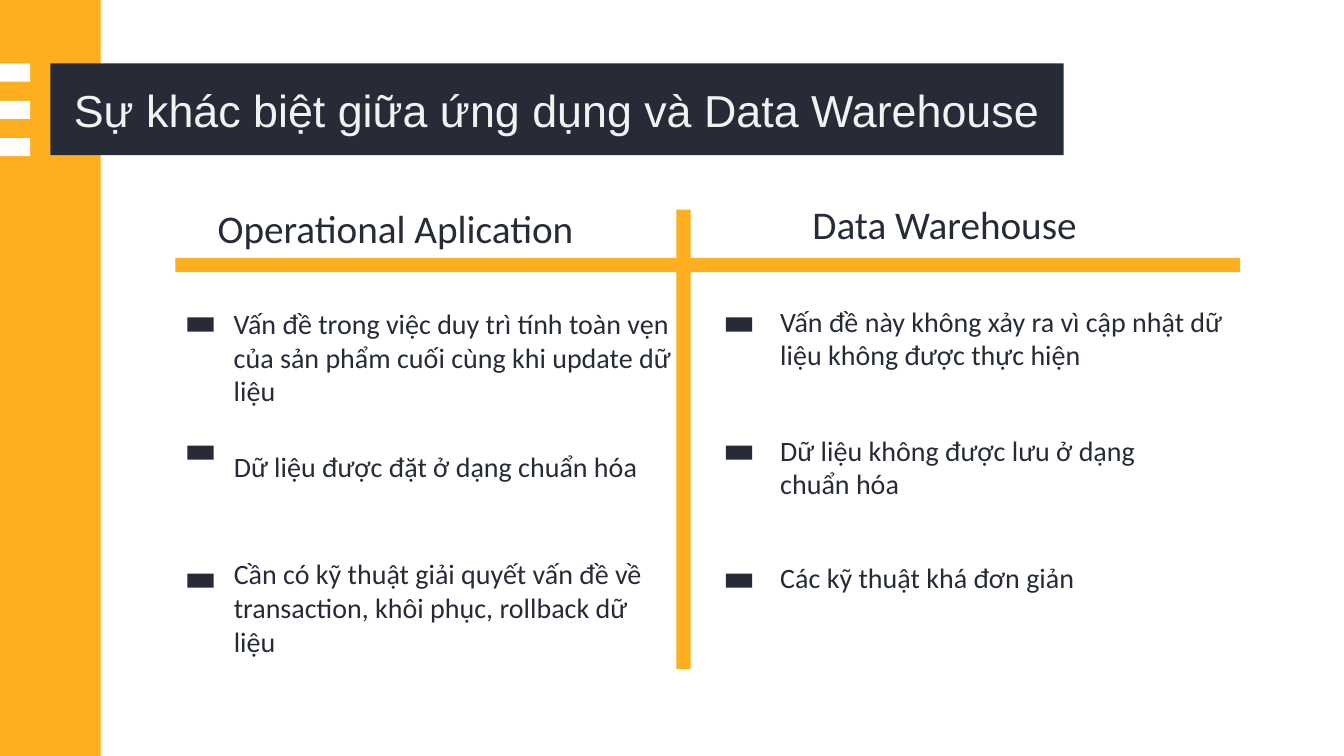
from pptx import Presentation
from pptx.dml.color import RGBColor
from pptx.enum.shapes import MSO_SHAPE
from pptx.enum.text import MSO_ANCHOR, MSO_AUTO_SIZE, PP_ALIGN
from pptx.util import Inches, Pt

AMBER = RGBColor(0xFE, 0xAE, 0x1F)
NAVY = RGBColor(0x26, 0x2B, 0x37)
WHITE = RGBColor(0xFF, 0xFF, 0xFF)
PALE = RGBColor(0xF2, 0xF2, 0xF2)


class SlideBuilder:
    """Holds the style and the slide being built."""

    heading_size = 28
    body_size = 20
    body_font = "Calibri"
    title_font = "Arial"

    def __init__(self, slide):
        """Keep the slide to draw on."""
        self.slide = slide

    def bar(self, left, top, width, height, color):
        """Draw a plain filled rectangle."""
        shape = self.slide.shapes.add_shape(
            MSO_SHAPE.RECTANGLE, *map(Inches, (left, top, width, height)))
        shape.shadow.inherit = False
        shape.fill.solid()
        shape.fill.fore_color.rgb = color
        shape.line.fill.background()

    def set_text(self, shape, text, size, font, color, align=PP_ALIGN.LEFT):
        """Put one formatted, vertically centred paragraph in a shape."""
        frame = shape.text_frame
        frame.word_wrap = True
        frame.auto_size = MSO_AUTO_SIZE.NONE
        frame.vertical_anchor = MSO_ANCHOR.MIDDLE
        paragraph = frame.paragraphs[0]
        paragraph.alignment = align
        run = paragraph.add_run()
        run.text = text
        run.font.size = Pt(size)
        run.font.name = font
        run.font.color.rgb = color

    def title(self, text, left, top, width, height):
        """Place the title placeholder as a dark banner above earlier shapes."""
        title = self.slide.shapes.title
        title.left, title.top, title.width, title.height = map(
            Inches, (left, top, width, height))
        title.fill.solid()
        title.fill.fore_color.rgb = NAVY
        self.set_text(title, text, 32, self.title_font, PALE, PP_ALIGN.CENTER)
        title.element.getparent().append(title.element)

    def text(self, text, left, top, width, height, size):
        """Add a dark text box."""
        box = self.slide.shapes.add_textbox(
            *map(Inches, (left, top, width, height)))
        self.set_text(box, text, size, self.body_font, NAVY)


# Each column: heading with its place, marker left, text left,
# then points as (text, top, width, height).
COLUMNS = [
    (("Operational Aplication", 2.06, 1.9), 1.86, 2.22, [
        ("Vấn đề trong việc duy trì tính toàn vẹn của sản phẩm cuối cùng "
         "khi update dữ liệu", 2.87, 4.8, 1.34),
        ("Dữ liệu được đặt ở dạng chuẩn hóa", 3.96, 4.45, 1.34),
        ("Cần có kỹ thuật giải quyết vấn đề về transaction, khôi phục, "
         "rollback dữ liệu", 5.3, 4.32, 1.45),
    ]),
    (("Data Warehouse", 7.96, 1.86), 7.2, 7.64, [
        ("Vấn đề này không xảy ra vì cập nhật dữ liệu không được thực hiện",
         2.82, 4.8, 1.06),
        ("Dữ liệu không được lưu ở dạng chuẩn hóa", 3.96, 4.45, 1.34),
        ("Các kỹ thuật khá đơn giản", 5.3, 4.32, 0.85),
    ]),
]
MARKER_TOP, MARKER_STEP = 3.15, 1.27
STRIPE_TOP, STRIPE_STEP = 0.63, 0.37

prs = Presentation()
prs.slide_width, prs.slide_height = Inches(13.33), Inches(7.5)
page = SlideBuilder(prs.slides.add_slide(prs.slide_layouts[5]))

page.bar(0, 0, 1, 7.5, AMBER)
page.title("Sự khác biệt giữa ứng dụng và Data Warehouse",
           0.5, 0.63, 10.05, 0.91)
for stripe in range(3):
    page.bar(0, STRIPE_TOP + stripe * STRIPE_STEP, 0.3, 0.18, WHITE)

page.bar(6.71, 2.08, 0.14, 4.56, AMBER)
page.bar(1.74, 2.56, 10.56, 0.14, AMBER)

for (heading, left, top), marker_left, text_left, points in COLUMNS:
    page.text(heading, left, top, 4.48, 0.73, page.heading_size)
    for row, (point, point_top, width, height) in enumerate(points):
        page.bar(marker_left, MARKER_TOP + row * MARKER_STEP, 0.26, 0.14, NAVY)
        page.text(point, text_left, point_top, width, height, page.body_size)

prs.save("out.pptx")
